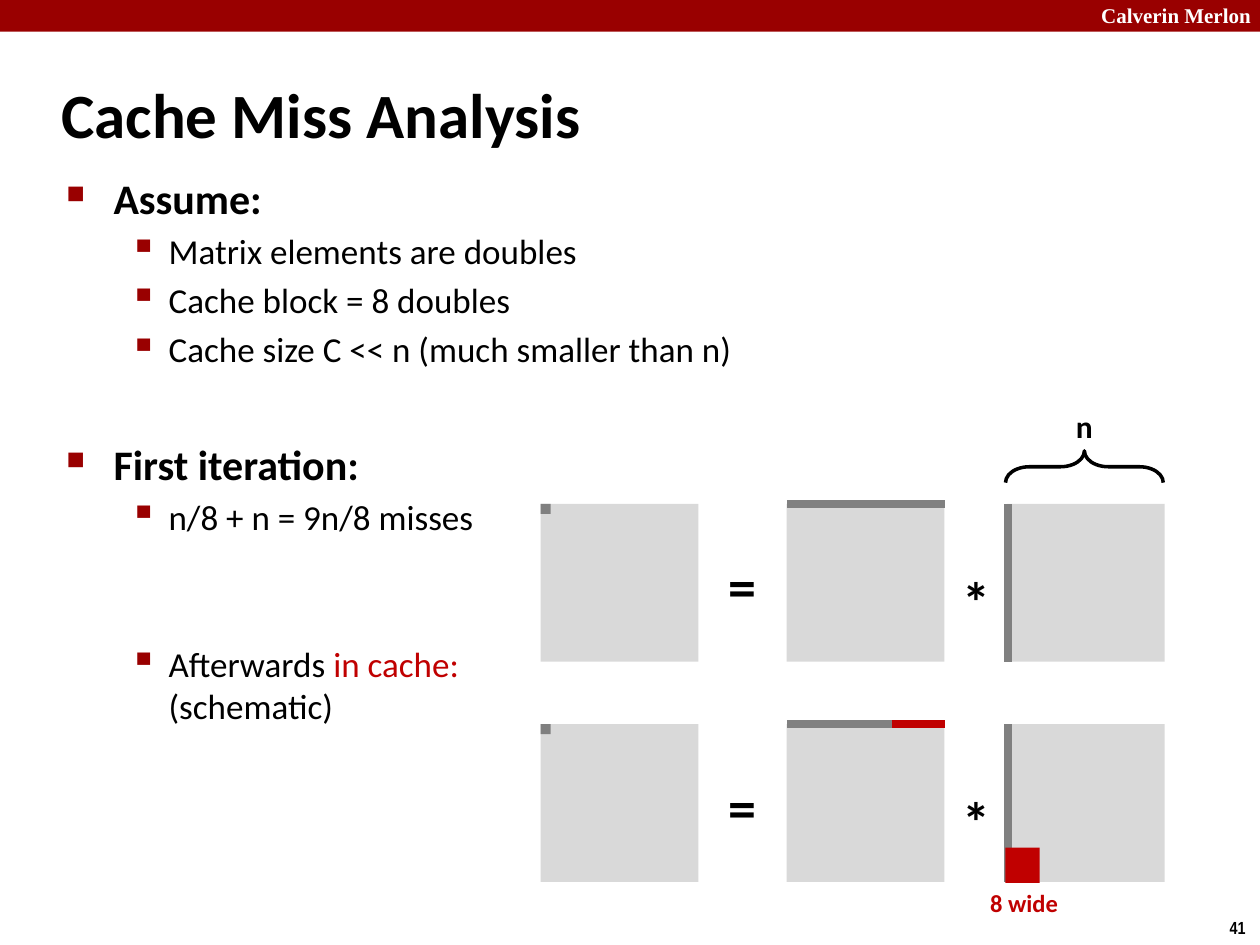
"""Build the cache miss analysis slide."""
import pptx
import pptx.util
import pptx.dml.color
import pptx.enum.shapes
import pptx.enum.text
import pptx.oxml.ns
import lxml.etree

Cm, Pt = pptx.util.Cm, pptx.util.Pt
RGB = pptx.dml.color.RGBColor
SHAPE = pptx.enum.shapes.MSO_SHAPE
ANCHOR = pptx.enum.text.MSO_ANCHOR
qn = pptx.oxml.ns.qn

BLACK = RGB(0, 0, 0)
WHITE = RGB(0xFF, 0xFF, 0xFF)
MAROON = RGB(0x99, 0, 0)
RED = RGB(0xC0, 0, 0)
PALE = RGB(0xD9, 0xD9, 0xD9)
GREY = RGB(0x80, 0x80, 0x80)

SIDE = 3.18
LEFT, MID, RIGHT = 10.9, 15.86, 20.3
TOP, LOW = 10.16, 14.6


def add_run(para, words, size=20, bold=False, color=BLACK, font="Calibri"):
    run = para.add_run()
    run.text = words
    run.font.size = Pt(size)
    run.font.bold = bold
    run.font.color.rgb = color
    run.font.name = font


def add_frame(slide, x, y, w, h, wrap=False):
    frame = slide.shapes.add_textbox(Cm(x), Cm(y), Cm(w), Cm(h)).text_frame
    frame.word_wrap = wrap
    return frame


def add_text(slide, words, x, y, w, h, anchor=ANCHOR.TOP, **style):
    frame = add_frame(slide, x, y, w, h)
    frame.vertical_anchor = anchor
    add_run(frame.paragraphs[0], words, bold=True, **style)


def add_box(slide, x, y, w, h, fill):
    box = slide.shapes.add_shape(SHAPE.RECTANGLE, Cm(x), Cm(y), Cm(w), Cm(h))
    box.shadow.inherit = False
    box.fill.solid()
    box.fill.fore_color.rgb = fill
    box.line.fill.background()


def add_line(slide, x1, y1, x2, y2, color):
    kind = pptx.enum.shapes.MSO_CONNECTOR.STRAIGHT
    line = slide.shapes.add_connector(kind, Cm(x1), Cm(y1), Cm(x2), Cm(y2))
    line.line.color.rgb = color
    line.line.width = Pt(4.5)
    lxml.etree.SubElement(line._element.spPr, qn("a:effectLst"))


def add_brace(slide, x, y, w, h):
    brace = slide.shapes.add_shape(SHAPE.LEFT_BRACE, Cm(x), Cm(y), Cm(w), Cm(h))
    brace.shadow.inherit = False
    brace.rotation = 90
    brace.adjustments[0] = 0.75
    brace.fill.background()
    brace.line.color.rgb = BLACK
    brace.line.width = Pt(2)


def set_bullet(para, mark, scale, left, hang):
    props = para._p.get_or_add_pPr()
    props.set("marL", str(Cm(left)))
    props.set("indent", str(-Cm(hang)))
    tint = lxml.etree.SubElement(props, qn("a:buClr"))
    lxml.etree.SubElement(tint, qn("a:srgbClr"), val=str(MAROON))
    lxml.etree.SubElement(props, qn("a:buSzPct"), val=str(scale * 1000))
    lxml.etree.SubElement(props, qn("a:buChar"), char=mark)


def add_head(para, words, space=4.8):
    para.space_before = Pt(space)
    set_bullet(para, "\u25a0", 60, 0.95, 0.95)
    add_run(para, words, size=24, bold=True)


def add_item(para, words, space=4):
    para.level = 1
    para.space_before = Pt(space)
    set_bullet(para, "\u25aa", 110, 2.06, 0.79)
    add_run(para, words)


def add_body(slide):
    frame = add_frame(slide, 1.09, 3.35, 21.95, 8.48, wrap=True)
    add_head(frame.paragraphs[0], "Assume:")
    for words in ("Matrix elements are doubles", "Cache block = 8 doubles",
                  "Cache size C << n (much smaller than n)"):
        add_item(frame.add_paragraph(), words)
    add_head(frame.add_paragraph(), "First iteration:", space=39)
    add_item(frame.add_paragraph(), "n/8 + n = 9n/8 misses")
    last = frame.add_paragraph()
    add_item(last, "Afterwards ", space=60)
    add_run(last, "in cache:", color=RED)
    last.add_line_break()
    add_run(last, "(schematic)")


def add_product(slide, y):
    for x in (LEFT, MID, RIGHT):
        add_box(slide, x, y, SIDE, SIDE, PALE)
    add_box(slide, LEFT, y, 0.2, 0.2, GREY)
    add_line(slide, MID, y, MID + SIDE, y, GREY)
    add_line(slide, RIGHT + 0.02, y, RIGHT + 0.02, y + SIDE, GREY)
    add_text(slide, "=", 14.43, y + 0.84, 1.09, 1.63, size=32)
    add_text(slide, "*", 19.16, y + 1.14, 1.09, 1.63, size=32)


def main():
    deck = pptx.Presentation()
    deck.slide_width, deck.slide_height = Cm(25.4), Cm(19.05)
    slide = deck.slides.add_slide(deck.slide_layouts[6])

    add_box(slide, 0, 0, 25.4, 0.64, MAROON)
    add_text(slide, "Calverin Merlon", 21.95, -0.08, 3.63, 0.76,
             size=12, color=WHITE, font="Times New Roman")
    add_text(slide, "41", 24.54, 18.36, 0.86, 0.69, size=10, font="Arial Narrow")
    add_text(slide, "Cache Miss Analysis", 0.99, 1.22, 21.08, 2.11,
             anchor=ANCHOR.MIDDLE, size=36)
    add_body(slide)

    for y in (TOP, LOW):
        add_product(slide, y)
    add_brace(slide, 21.54, 7.82, 0.64, SIDE)
    add_text(slide, "n", 21.44, 8.08, 0.86, 1.02, size=18)
    add_line(slide, 17.98, LOW, MID + SIDE, LOW, RED)
    add_box(slide, 20.27, 17.09, 0.69, 0.71, RED)
    add_text(slide, "8 wide", 19.71, 17.78, 1.88, 0.86, size=14, color=RED)

    deck.save("out.pptx")


main()
